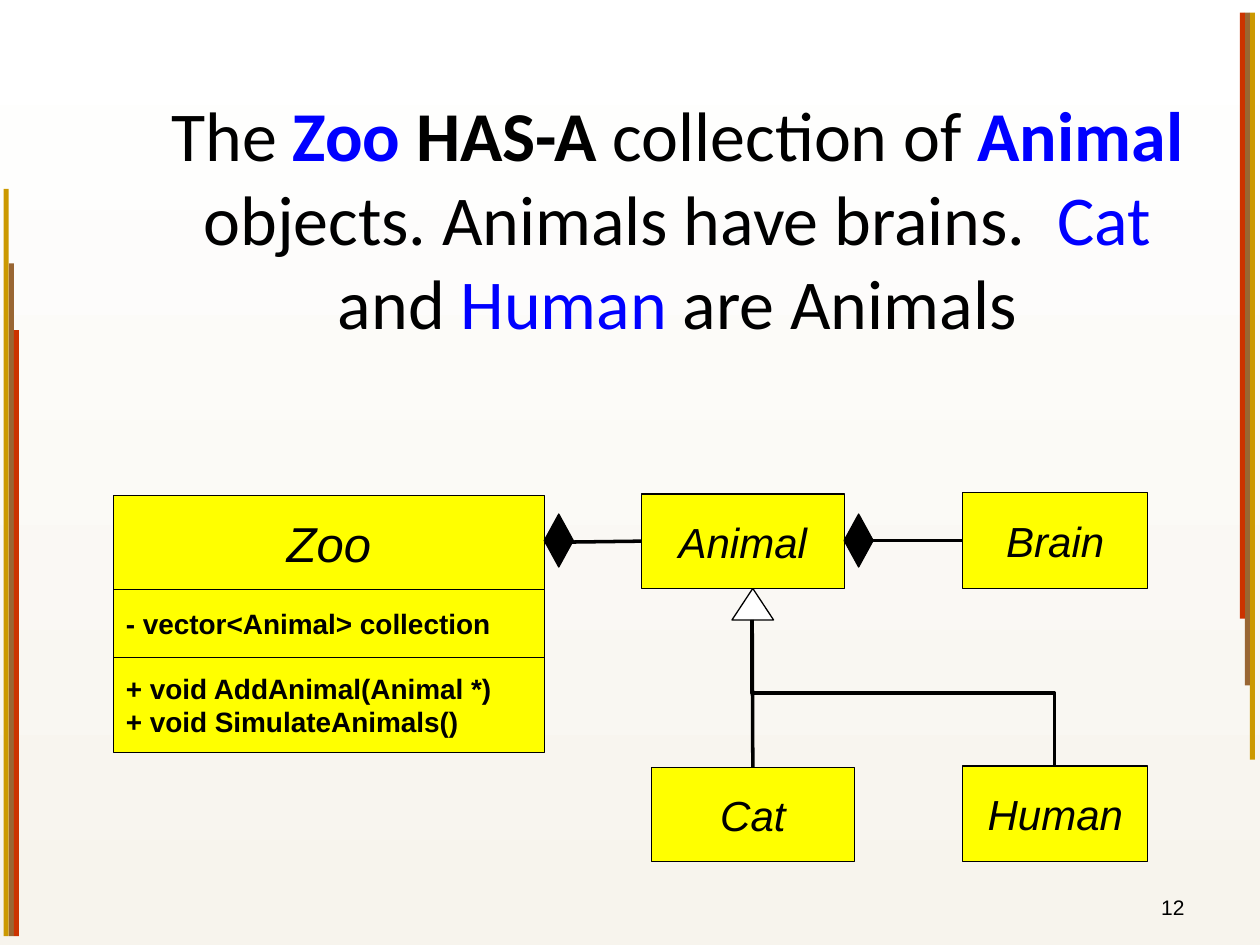
from dataclasses import dataclass

import pptx
import pptx.dml.color
import pptx.enum.shapes
import pptx.enum.text
import pptx.oxml
import pptx.util
from pptx.util import Inches

SHAPE = pptx.enum.shapes.MSO_SHAPE
CONNECTOR = pptx.enum.shapes.MSO_CONNECTOR
ALIGN = pptx.enum.text.PP_ALIGN
ANCHOR = pptx.enum.text.MSO_ANCHOR
BLACK, BLUE, YELLOW, WHITE = "000000", "0000FF", "FFFF00", "FFFFFF"


@dataclass(frozen=True)
class Symbol:
    left: float
    top: float
    width: float
    height: float
    fill: str = YELLOW
    outline: str | None = BLACK
    kind: SHAPE = SHAPE.RECTANGLE


@dataclass(frozen=True)
class Label:
    lines: tuple[str, ...]
    size: float = 24
    italic: bool = True
    bold: bool = False
    align: ALIGN = ALIGN.CENTER


def rgb(value: str) -> pptx.dml.color.RGBColor:
    return pptx.dml.color.RGBColor.from_string(value)


def set_values(target, values: dict) -> None:
    for name, value in values.items():
        setattr(target, name, value)


def style_font(font, size: float, color: str = BLACK, **values) -> None:
    set_values(font, {"name": "Arial", "size": pptx.util.Pt(size), **values})
    font.color.rgb = rgb(color)


def draw_symbol(slide, symbol: Symbol):
    lengths = (symbol.left, symbol.top, symbol.width, symbol.height)
    shape = slide.shapes.add_shape(symbol.kind, *map(Inches, lengths))
    shape.shadow.inherit = False
    shape.fill.solid()
    shape.fill.fore_color.rgb = rgb(symbol.fill)
    if symbol.outline is None:
        shape.line.fill.background()
    else:
        shape.line.color.rgb = rgb(symbol.outline)
        shape.line.width = pptx.util.Pt(0.75)
    return shape


def write_label(shape, label: Label, anchor: ANCHOR = ANCHOR.MIDDLE) -> None:
    frame = shape.text_frame
    set_values(frame, {"word_wrap": True, "vertical_anchor": anchor})
    frame.text = "\n".join(label.lines)
    for paragraph in frame.paragraphs:
        paragraph.alignment = label.align
        style_font(paragraph.font, label.size, italic=label.italic, bold=label.bold)


def draw_class(slide, symbol: Symbol, label: Label):
    shape = draw_symbol(slide, symbol)
    write_label(shape, label)
    return shape


def draw_relation(slide, start: tuple, end: tuple, kind: CONNECTOR = CONNECTOR.STRAIGHT):
    relation = slide.shapes.add_connector(kind, *map(Inches, start + end))
    relation.line.color.rgb = rgb(BLACK)
    relation.line.width = pptx.util.Pt(2)
    properties = relation._element.spPr
    properties.append(pptx.oxml.parse_xml(
        '<a:effectLst xmlns:a="http://schemas.openxmlformats.org/drawingml/2006/main"/>'))
    return relation


def draw_background(slide) -> None:
    fill = slide.background.fill
    fill.gradient()
    fill.gradient_angle = 270
    for stop, color, position in zip(fill.gradient_stops, (WHITE, "F7F4ED"), (0, 1)):
        stop.color.rgb = rgb(color)
        stop.position = position


def draw_edge_bars(slide) -> None:
    bars = (("CC9900", 5.93), ("996633", 5.34), ("CC3300", 4.81))
    thickness = 0.04
    for index, (color, length) in enumerate(bars):
        shift = index * thickness
        for left, top in ((0.03 + shift, 7.43 - length), (9.92 - shift, 0.1)):
            draw_symbol(slide, Symbol(left, top, thickness, length, color, None))


def write_title(slide) -> None:
    title = slide.shapes.title
    set_values(title, {"left": Inches(1.25), "top": Inches(0.3),
                       "width": Inches(8.25), "height": Inches(2.86)})
    set_values(title.text_frame, {"word_wrap": True, "vertical_anchor": ANCHOR.MIDDLE,
                                  "auto_size": pptx.enum.text.MSO_AUTO_SIZE.NONE})
    paragraph = title.text_frame.paragraphs[0]
    paragraph.alignment = ALIGN.CENTER
    phrases = (
        ("The ", BLACK, False), ("Zoo ", BLUE, True), ("HAS-A", BLACK, True),
        (" collection of ", BLACK, False), ("Animal ", BLUE, True),
        ("objects. Animals have brains.", BLACK, False), ("  Cat ", BLUE, False),
        ("and ", BLACK, False), ("Human ", BLUE, False), ("are Animals", BLACK, False),
    )
    for words, color, bold in phrases:
        run = paragraph.add_run()
        run.text = words
        style_font(run.font, 40, color, name="Calibri", bold=bold)


def draw_diagram(slide) -> None:
    cat = draw_class(slide, Symbol(5.17, 6.09, 1.61, 0.75), Label(("Cat",)))
    draw_symbol(slide, Symbol(5.81, 4.67, 0.33, 0.25, WHITE, kind=SHAPE.ISOSCELES_TRIANGLE))
    draw_class(slide, Symbol(7.64, 6.08, 1.47, 0.76), Label(("Human",)))
    animal = draw_class(slide, Symbol(5.09, 3.92, 1.61, 0.75), Label(("Animal",)))
    brain = draw_class(slide, Symbol(7.64, 3.91, 1.47, 0.76), Label(("Brain",)))
    zoo = draw_class(slide, Symbol(0.9, 3.93, 3.42, 0.75), Label(("Zoo",), size=28))

    members = (
        (4.68, 0.54, ("- vector<Animal> collection",)),
        (5.22, 0.75, ("+ void AddAnimal(Animal *)", "+ void SimulateAnimals()")),
    )
    for top, height, lines in members:
        draw_class(slide, Symbol(0.9, top, 3.42, height),
                   Label(lines, 16, italic=False, bold=True, align=ALIGN.LEFT))

    draw_relation(slide, (6.81, 4.29), (7.64, 4.29)).end_connect(brain, 1)
    zoo_has_animal = draw_relation(slide, (4.32, 4.3), (5.09, 4.29))
    zoo_has_animal.begin_connect(zoo, 3)
    zoo_has_animal.end_connect(animal, 1)
    draw_relation(slide, (5.97, 4.92), (5.97, 6.09)).end_connect(cat, 0)
    human_is_animal = draw_relation(slide, (7.75, 4.3), (6.59, 6.7), CONNECTOR.ELBOW)
    human_is_animal._element.spPr.xfrm.set("rot", str(270 * 60000))

    for left in (4.32, 6.7):
        draw_symbol(slide, Symbol(left, 4.08, 0.23, 0.42, BLACK, kind=SHAPE.DIAMOND))


def main() -> None:
    deck = pptx.Presentation()
    set_values(deck, {"slide_width": Inches(10), "slide_height": Inches(7.5)})
    slide = deck.slides.add_slide(deck.slide_layouts[5])
    draw_background(slide)
    draw_edge_bars(slide)
    page_number = slide.shapes.add_textbox(*map(Inches, (7.17, 6.83, 2.33, 0.52)))
    write_label(page_number, Label(("12",), 12, italic=False, align=ALIGN.RIGHT), ANCHOR.BOTTOM)
    write_title(slide)
    draw_diagram(slide)
    deck.save("out.pptx")


if __name__ == "__main__":
    main()
